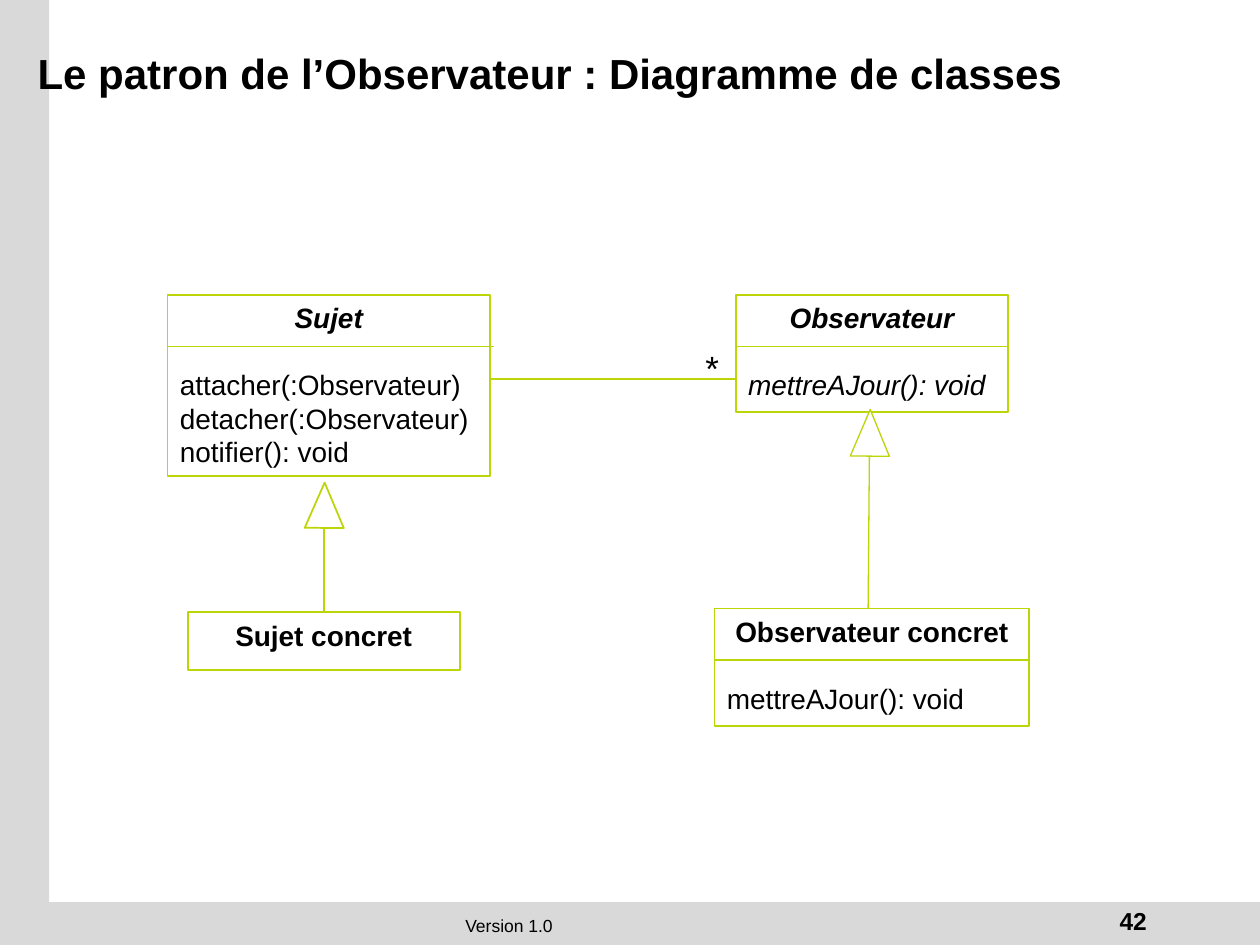
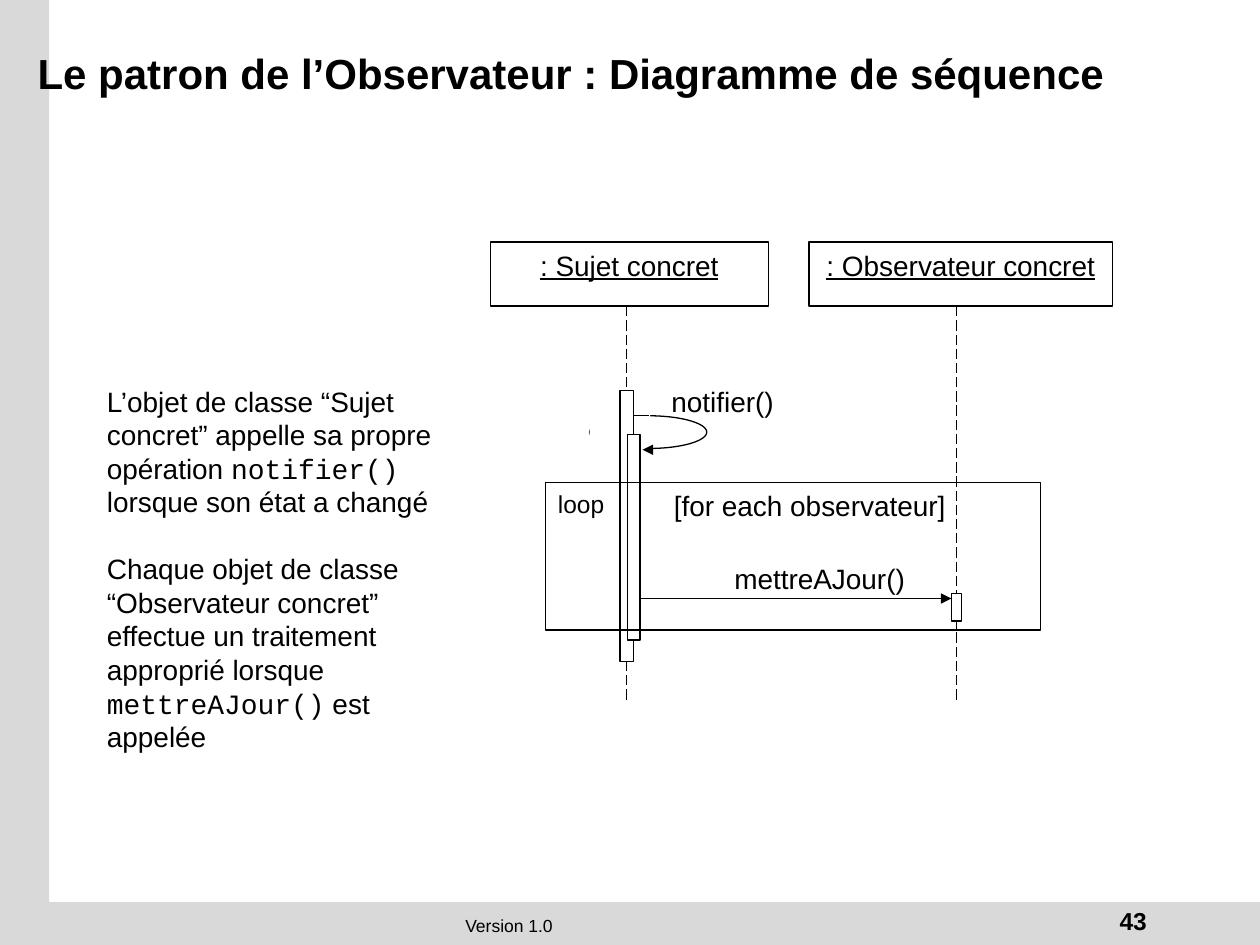
from dataclasses import dataclass, replace
from itertools import pairwise

from lxml.etree import SubElement
from pptx import Presentation
from pptx.dml.color import RGBColor
from pptx.enum.dml import MSO_LINE
from pptx.enum.shapes import MSO_CONNECTOR, MSO_SHAPE
from pptx.enum.text import MSO_ANCHOR, PP_ALIGN
from pptx.oxml.ns import qn
from pptx.shapes.autoshape import Shape
from pptx.slide import Slide
from pptx.util import Emu, Pt

PX = 9144  # 100 px to the inch


@dataclass(frozen=True)
class Theme:
    ink: str = "000000"
    paper: str = "FFFFFF"
    band: str = "D9D9D9"
    lime: str = "BCD507"
    sans: str = "Arial"
    mono: str = "Courier New"
    title: int = 24
    star: int = 20
    body: int = 16
    small: int = 14
    foot: int = 10
    gap: int = 19
    thin: float = 0.75
    thick: float = 1


THEME = Theme()


@dataclass(frozen=True)
class Style:
    size: int = THEME.body
    bold: bool = False
    slant: bool = False
    under: bool = False
    align: PP_ALIGN = PP_ALIGN.LEFT


@dataclass(frozen=True)
class Para:
    text: str  # code stands between backticks
    style: Style = Style()
    gap: int = 0


@dataclass(frozen=True)
class Rect:
    x: int
    y: int
    w: int
    h: int


@dataclass(frozen=True)
class Pen:
    color: str = THEME.ink
    width: float = THEME.thin
    dashed: bool = False
    arrow: bool = False


@dataclass(frozen=True)
class Class:
    rect: Rect
    name: str
    ops: tuple[str, ...] = ()
    slant: bool = False
    slant_ops: bool = False
    over: int = 0  # how far the divider passes the right edge


@dataclass(frozen=True)
class Parent:
    tip: Rect
    foot_x: int
    foot_y: int
    pen: Pen


@dataclass(frozen=True)
class Life:
    head: Rect
    name: str
    x: int


@dataclass(frozen=True)
class Label:
    rect: Rect
    text: str
    size: int = THEME.body
    wrap: bool = True


INK = Pen()
LIME = Pen(THEME.lime, THEME.thick)
HEAD = Style(bold=True, align=PP_ALIGN.CENTER)


# Drawing tools
def place(rect: Rect) -> tuple[Emu, ...]:
    return tuple(Emu(n * PX) for n in (rect.x, rect.y, rect.w, rect.h))


def write(shape: Shape, paras: list[Para], wrap: bool = True,
          anchor: MSO_ANCHOR = MSO_ANCHOR.TOP) -> None:
    frame = shape.text_frame
    frame.word_wrap = wrap
    frame.vertical_anchor = anchor
    for n, item in enumerate(paras):
        para = frame.add_paragraph() if n else frame.paragraphs[0]
        first, *rest = item.text.split("`")
        para.text = first
        for part in rest:
            para.add_run().text = part
        para.alignment = item.style.align
        para.space_before = Pt(item.gap)
        for i, run in enumerate(para.runs):
            font = run.font
            font.name = THEME.mono if i % 2 else THEME.sans
            font.size = Pt(item.style.size)
            font.bold = item.style.bold
            font.italic = item.style.slant
            font.underline = item.style.under
            font.color.rgb = RGBColor.from_string(THEME.ink)


def add_text(slide: Slide, rect: Rect, paras: list[Para], wrap: bool = True,
             anchor: MSO_ANCHOR = MSO_ANCHOR.TOP) -> None:
    write(slide.shapes.add_textbox(*place(rect)), paras, wrap, anchor)


def add_box(slide: Slide, rect: Rect, pen: Pen | None = INK,
            fill: str | None = THEME.paper,
            kind: MSO_SHAPE = MSO_SHAPE.RECTANGLE) -> Shape:
    shape = slide.shapes.add_shape(kind, *place(rect))
    shape.shadow.inherit = False
    if fill:
        shape.fill.solid()
        shape.fill.fore_color.rgb = RGBColor.from_string(fill)
    else:
        shape.fill.background()
    if pen:
        shape.line.color.rgb = RGBColor.from_string(pen.color)
        shape.line.width = Pt(pen.width)
    else:
        shape.line.fill.background()
    return shape


def add_line(slide: Slide, x1: int, y1: int, x2: int, y2: int,
             pen: Pen = INK) -> None:
    ends = (Emu(n * PX) for n in (x1, y1, x2, y2))
    wire = slide.shapes.add_connector(MSO_CONNECTOR.STRAIGHT, *ends)
    wire.line.color.rgb = RGBColor.from_string(pen.color)
    wire.line.width = Pt(pen.width)
    if pen.dashed:
        wire.line.dash_style = MSO_LINE.LONG_DASH
    props = wire._element.spPr
    if pen.arrow:
        SubElement(props.find(qn("a:ln")), qn("a:tailEnd"), type="triangle")
    SubElement(props, qn("a:effectLst"))


# Bands, footer and title of every slide
def add_page(deck: Presentation, title: str, page: int) -> Slide:
    slide = deck.slides.add_slide(deck.slide_layouts[6])
    for rect in (Rect(0, 0, 39, 750), Rect(0, 716, 1000, 34)):
        add_box(slide, rect, None, THEME.band)
    add_text(slide, Rect(11, 721, 786, 27),
             [Para("Version 1.0", Style(THEME.foot, align=PP_ALIGN.CENTER))])
    add_text(slide, Rect(762, 714, 158, 33),
             [Para(str(page), Style(THEME.small, True, align=PP_ALIGN.RIGHT))])
    add_text(slide, Rect(20, 18, 970, 79),
             [Para(title, Style(THEME.title, True))], anchor=MSO_ANCHOR.MIDDLE)
    return slide


# Parts of the class diagram
def add_class(slide: Slide, item: Class) -> None:
    rect = item.rect
    paras = [Para(item.name, replace(HEAD, slant=item.slant))]
    for n, text in enumerate(item.ops):
        paras.append(Para(text, Style(slant=item.slant_ops),
                          0 if n else THEME.gap))
    write(add_box(slide, rect, LIME), paras)
    if item.ops:
        y = rect.y + 41
        add_line(slide, rect.x, y, rect.x + rect.w + item.over, y, LIME)


def add_parent(slide: Slide, item: Parent) -> None:
    tip = item.tip
    add_line(slide, tip.x + tip.w // 2, tip.y + tip.h,
             item.foot_x, item.foot_y, item.pen)
    head = add_box(slide, tip, item.pen, kind=MSO_SHAPE.ISOSCELES_TRIANGLE)
    head.rotation = 0.5


# Parts of the sequence diagram
def add_life(slide: Slide, item: Life) -> None:
    box = add_box(slide, item.head)
    write(box, [Para(item.name, Style(under=True, align=PP_ALIGN.CENTER))])
    add_line(slide, item.x, item.head.y + item.head.h, item.x, 556,
             Pen(dashed=True))


def add_labels(slide: Slide, labels: list[Label]) -> None:
    for item in labels:
        add_text(slide, item.rect, [Para(item.text, Style(item.size))],
                 item.wrap)


def draw_classes(deck: Presentation) -> None:
    slide = add_page(
        deck, "Le patron de l’Observateur : Diagramme de classes", 42)
    for item in (
        Class(Rect(149, 486, 216, 46), "Sujet concret"),
        Class(Rect(133, 234, 256, 144), "Sujet",
              ("attacher(:Observateur)", "detacher(:Observateur)",
               "notifier(): void"), slant=True, over=3),
        Class(Rect(584, 234, 216, 93), "Observateur",
              ("mettreAJour(): void",), slant=True, slant_ops=True),
        Class(Rect(567, 483, 250, 93), "Observateur concret",
              ("mettreAJour(): void",)),
    ):
        add_class(slide, item)
    add_parent(slide, Parent(Rect(242, 383, 31, 36), 257, 486, LIME))
    add_parent(slide, Parent(Rect(675, 325, 31, 37), 689, 483,
                             Pen(THEME.lime)))
    add_line(slide, 389, 301, 584, 301, LIME)
    add_labels(slide, [Label(Rect(550, 270, 29, 36), "*", THEME.star)])


def draw_steps(deck: Presentation) -> None:
    slide = add_page(
        deck, "Le patron de l’Observateur : Diagramme de séquence", 43)
    arrow = Pen(arrow=True)

    # Self call: the right half of an ellipse
    add_box(slide, Rect(468, 330, 93, 26), kind=MSO_SHAPE.OVAL)
    add_box(slide, Rect(468, 320, 48, 51), None)
    add_line(slide, 516, 357, 510, 357, arrow)
    add_line(slide, 515, 330, 499, 330)

    # Lifelines, active bars and the call
    add_life(slide, Life(Rect(642, 192, 241, 51), ": Observateur concret", 759))
    add_life(slide, Life(Rect(389, 192, 221, 51), ": Sujet concret", 497))
    add_line(slide, 500, 475, 755, 475, arrow)
    for bar in (Rect(492, 310, 11, 215), Rect(755, 471, 8, 22),
                Rect(498, 345, 10, 163)):
        add_box(slide, bar)

    # Loop frame with its cut corner
    add_box(slide, Rect(433, 383, 393, 117), fill=None)
    corner = ((433, 417), (475, 417), (483, 408), (483, 383))
    for start, end in pairwise(corner):
        add_line(slide, *start, *end, Pen(THEME.paper, THEME.thick))

    add_labels(slide, [
        Label(Rect(523, 300, 231, 36), "notifier()"),
        Label(Rect(573, 441, 167, 39), "mettreAJour()"),
        Label(Rect(525, 383, 269, 41), "[for each observateur]"),
        Label(Rect(433, 383, 57, 33), "loop", THEME.small, False),
    ])
    add_text(slide, Rect(75, 300, 292, 288), [
        Para("L’objet de classe “Sujet concret” appelle sa propre opération "
             "`notifier()` lorsque son état a changé"),
        Para("Chaque objet de classe “Observateur concret” effectue un "
             "traitement approprié lorsque `mettreAJour()` est appelée",
             gap=THEME.gap),
    ])


def main() -> None:
    deck = Presentation()
    deck.slide_width, deck.slide_height = Emu(1000 * PX), Emu(750 * PX)
    draw_classes(deck)
    draw_steps(deck)
    deck.save("out.pptx")


if __name__ == "__main__":
    main()
